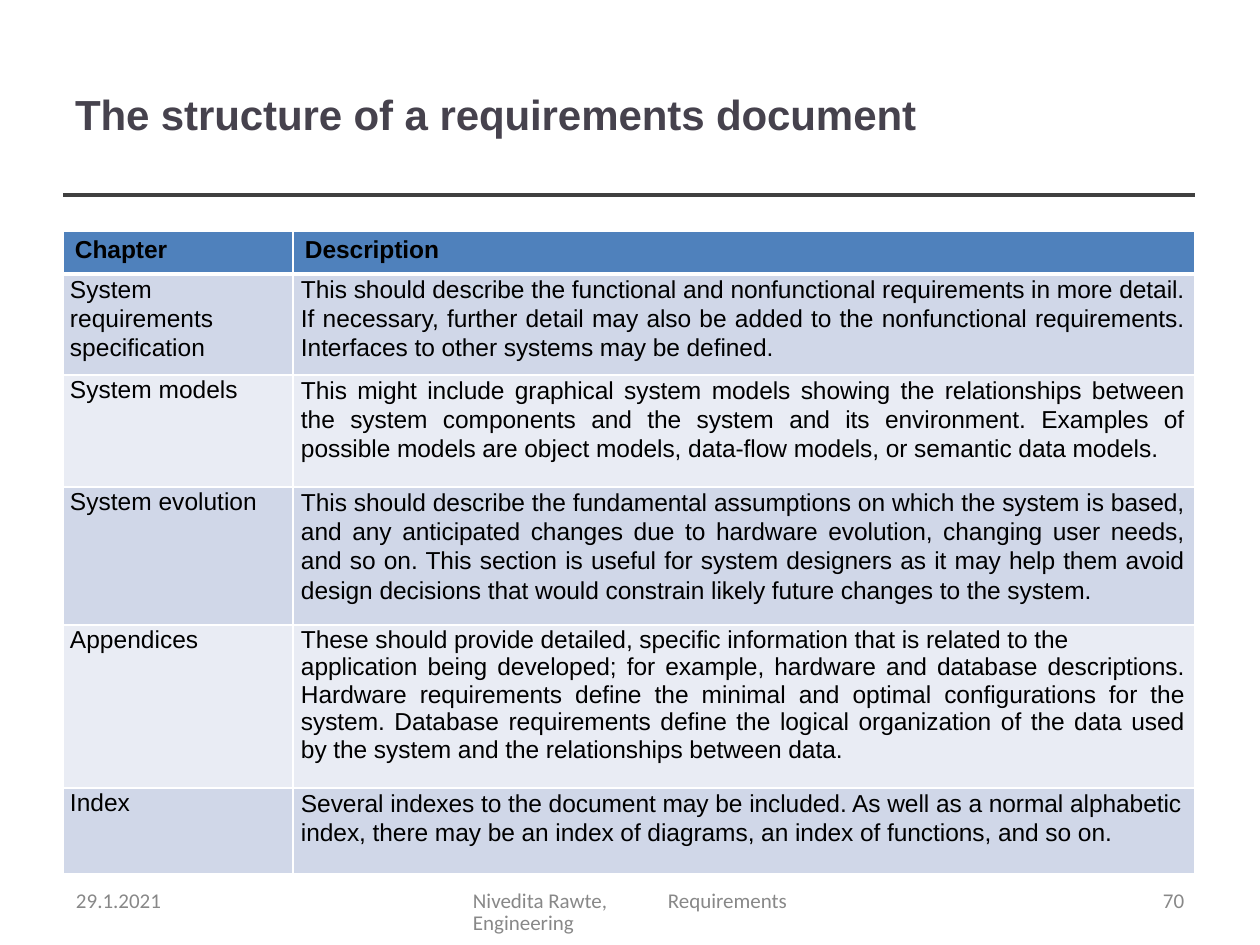
import dataclasses

import lxml.etree
import pptx
import pptx.dml.color
import pptx.enum.shapes
import pptx.enum.text
import pptx.oxml.ns
import pptx.util

PX = 914400 / 126
COLORS = {
    "title": "46424D",
    "rule": "404040",
    "footer": "888888",
    "text": "000000",
    "border": "FFFFFF",
    "header": "4F81BC",
    "odd": "D0D7E8",
    "even": "E9ECF4",
}
LEFT = pptx.enum.text.PP_ALIGN.LEFT
JUSTIFY = pptx.enum.text.PP_ALIGN.JUSTIFY
COLUMN_WIDTHS = [230, 902]


@dataclasses.dataclass
class Style:
    size: int
    color: str
    font: str = "Arial"
    bold: bool = False
    align: pptx.enum.text.PP_ALIGN = LEFT
    leading: float | None = None
    before: float = 0
    tracking: int = 0


@dataclasses.dataclass
class Chapter:
    name: str
    description: list[str]
    height: int
    align: pptx.enum.text.PP_ALIGN = JUSTIFY


@dataclasses.dataclass
class Footer:
    text: str
    left: int
    width: int
    tab: int = 0


TITLE = Style(24, "title", bold=True, before=1, tracking=-5)
HEADER = Style(14, "text", bold=True, before=3.1, tracking=-5)
NAME = Style(14, "text", leading=16.4)
FOOTER = Style(12, "footer", font="Calibri", leading=12.4)

CHAPTERS = [
    Chapter("System requirements specification", [
        "This should describe the functional and nonfunctional requirements in more detail. "
        "If necessary, further detail may also be added to the nonfunctional requirements. "
        "Interfaces to other systems may be defined."], 101),
    Chapter("System models", [
        "This might include graphical system models showing the relationships between "
        "the system components and the system and its environment. Examples of "
        "possible models are object models, data-flow models, or semantic data models."], 112),
    Chapter("System evolution", [
        "This should describe the fundamental assumptions on which the system is based, "
        "and any anticipated changes due to hardware evolution, changing user needs, "
        "and so on. This section is useful for system designers as it may help them avoid "
        "design decisions that would constrain likely future changes to the system."], 138),
    Chapter("Appendices", [
        "These should provide detailed, specific information that is related to the",
        "application being developed; for example, hardware and database descriptions. "
        "Hardware requirements define the minimal and optimal configurations for the "
        "system. Database requirements define the logical organization of the data used "
        "by the system and the relationships between data."], 163),
    Chapter("Index", [
        "Several indexes to the document may be included. As well as a normal alphabetic "
        "index, there may be an index of diagrams, an index of functions, and so on."], 86, LEFT),
]
FOOTERS = [
    Footer("29.1.2021", 75, 106),
    Footer("Nivedita Rawte,\tRequirements Engineering", 472, 317, 195),
    Footer("70", 1162, 32),
]


def px(length: int) -> int:
    return round(length * PX)


def rgb(name: str) -> pptx.dml.color.RGBColor:
    return pptx.dml.color.RGBColor.from_string(COLORS[name])


def add_element(parent, tag: str, **attributes: str):
    return lxml.etree.SubElement(parent, pptx.oxml.ns.qn(tag), attributes)


def format_para(para, style: Style) -> None:
    para.alignment = style.align
    para.space_before = pptx.util.Pt(style.before)
    para.line_spacing = pptx.util.Pt(style.leading) if style.leading else 1.0
    for span in para.runs:
        span.font.name = style.font
        span.font.size = pptx.util.Pt(style.size)
        span.font.bold = style.bold
        span.font.color.rgb = rgb(style.color)
        span._r.get_or_add_rPr().set("spc", str(style.tracking))


def clear_margins(frame) -> None:
    frame.margin_left = frame.margin_top = 0
    frame.margin_right = frame.margin_bottom = 0
    frame.word_wrap = True
    frame.vertical_anchor = pptx.enum.text.MSO_ANCHOR.TOP


def add_title(page) -> None:
    box = page.shapes.title
    box.left, box.top, box.width, box.height = px(75), px(88), px(860), px(54)
    clear_margins(box.text_frame)
    box.text_frame.text = "The structure of a requirements document"
    format_para(box.text_frame.paragraphs[0], TITLE)


def add_rule(page, right: int) -> None:
    rule = page.shapes.add_connector(
        pptx.enum.shapes.MSO_CONNECTOR.STRAIGHT, px(63), px(195), px(right), px(195))
    rule.line.color.rgb = rgb("rule")
    rule.line.width = pptx.util.Pt(2.04)
    add_element(rule._element.spPr, "a:effectLst")


def add_footer(page, footer: Footer) -> None:
    box = page.shapes.add_textbox(px(footer.left), px(891), px(footer.width), px(25))
    clear_margins(box.text_frame)
    box.text_frame.margin_left = px(1)
    para = box.text_frame.paragraphs[0]
    para.text = footer.text
    format_para(para, FOOTER)
    if footer.tab:
        stops = add_element(para._p.get_or_add_pPr(), "a:tabLst")
        add_element(stops, "a:tab", pos=str(px(footer.tab)), algn="l")


def fill_cell(cell, lines: list[str], styles: list[Style], fill: str,
              margins: tuple[int, int, int], top: int, bottom: int) -> None:
    properties = cell._tc.get_or_add_tcPr()
    for side, width in (("L", 1), ("R", 1), ("T", top), ("B", bottom)):
        border = add_element(properties, f"a:ln{side}", w=str(pptx.util.Pt(width)))
        solid = add_element(border, "a:solidFill")
        add_element(solid, "a:srgbClr", val=COLORS["border"])
    cell.fill.solid()
    cell.fill.fore_color.rgb = rgb(fill)
    cell.margin_left, cell.margin_top, cell.margin_right = map(px, margins)
    cell.margin_bottom = 0
    cell.text_frame.text = "\n".join(lines)
    for para, style in zip(cell.text_frame.paragraphs, styles):
        format_para(para, style)


def add_chapter_table(page) -> None:
    heights = [43] + [chapter.height for chapter in CHAPTERS]
    table = page.shapes.add_table(
        len(heights), 2, px(63), px(231), px(sum(COLUMN_WIDTHS)), px(sum(heights))).table
    for column, width in zip(table.columns, COLUMN_WIDTHS):
        column.width = px(width)
    for row, height in zip(table.rows, heights):
        row.height = px(height)
    for index, label in enumerate(["Chapter", "Description"]):
        fill_cell(table.cell(0, index), [label], [HEADER], "header", (12, 5, 0), 1, 3)
    for number, chapter in enumerate(CHAPTERS, 1):
        fill = "odd" if number % 2 else "even"
        top = 3 if number == 1 else 1
        name_style = dataclasses.replace(NAME, leading=16.8) if number == 1 else NAME
        fill_cell(table.cell(number, 0), [chapter.name], [name_style], fill, (7, 0, 0), top, 1)
        first = Style(14, "text", align=chapter.align, leading=16.8, before=0.1, tracking=-5)
        styles = [first]
        if len(chapter.description) > 1:
            styles = [dataclasses.replace(first, leading=16.4, before=0),
                      dataclasses.replace(first, leading=None, before=0)]
        fill_cell(table.cell(number, 1), chapter.description, styles, fill, (8, 0, 11), top, 1)


def main() -> None:
    deck = pptx.Presentation()
    deck.slide_width, deck.slide_height = px(1260), px(945)
    page = deck.slides.add_slide(deck.slide_layouts[5])
    for right in (1070, 1195):
        add_rule(page, right)
    add_title(page)
    for footer in FOOTERS:
        add_footer(page, footer)
    add_chapter_table(page)
    deck.save("out.pptx")


if __name__ == "__main__":
    main()
